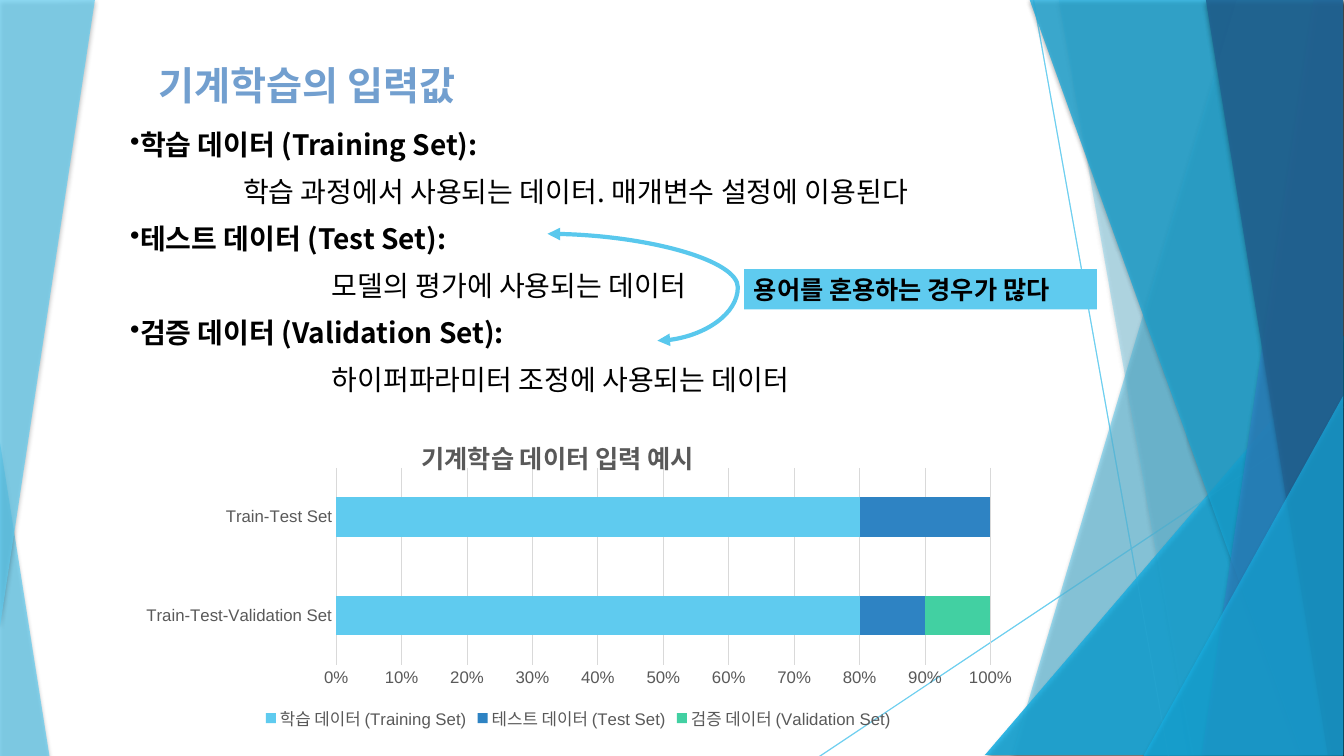
from pptx import Presentation
from pptx.chart.data import CategoryChartData
from pptx.dml.color import RGBColor
from pptx.enum.chart import XL_CHART_TYPE, XL_LEGEND_POSITION, XL_TICK_MARK
from pptx.enum.shapes import MSO_CONNECTOR, MSO_SHAPE
from pptx.enum.text import MSO_ANCHOR, PP_ALIGN
from pptx.oxml import parse_xml
from pptx.oxml.ns import nsdecls, qn
from pptx.oxml.xmlchemy import OxmlElement
from pptx.util import Inches, Pt

COLORS = {"sky": "5FCBEF", "cyan": "17B0E4", "blue": "2E83C3", "navy": "226292",
          "green": "42D0A2", "arrow": "59C8ED", "title": "729FCF",
          "black": "000000", "label": "595959", "grid": "D9D9D9"}
KOREAN = "Noto Sans CJK KR"
TITLE = "기계학습의 입력값"
CALLOUT = "용어를 혼용하는 경우가 많다"
DATA_SETS = [
    ("학습 데이터 (Training Set)", "학습 과정에서 사용되는 데이터. 매개변수 설정에 이용된다",
     1.12, "sky", (80, 80)),
    ("테스트 데이터 (Test Set)", "모델의 평가에 사용되는 데이터", 2, "blue", (10, 20)),
    ("검증 데이터 (Validation Set)", "하이퍼파라미터 조정에 사용되는 데이터", 2, "green", (10, 0)),
]
CHART_TITLE = "기계학습 데이터 입력 예시"
SPLITS = ["Train-Test-Validation Set", "Train-Test Set"]

RAYS = [((10.25, 0), (11.59, 7.51)), ((13.34, 4.03), (8.12, 7.51))]
TOP, BOTTOM, EDGE = -0.01, 7.49, 13.32
RIGHT_FACETS = [
    ("band", (12.27, 10.04), "sky", 36),
    ("band", (10.5, 11.82), "sky", 20),
    ("triangle", (9.77, 3.33, 3.56, 4.16, 1), "cyan", 66),
    ("band", (10.21, 12.91), "cyan", 50),
    ("band", (13.03, 11.92), "blue", 70),
    ("band", (11.96, 13.17), "navy", 80),
    ("triangle", (11.34, 3.93, 1.98, 3.57, 1), "cyan", 66),
]
LEFT_FACETS = [
    ("triangle", (0, 4.39, 0.49, 3.11, 0), "sky", 70),
    ("outline", [(0, 0), (0.94, -0.01), (0.94, 0.01), (0, 6.22)], "sky", 70),
]


def rgb(color):
    return RGBColor.from_string(COLORS[color])


def add_child(parent, tag, **attributes):
    child = OxmlElement(tag)
    for key, value in attributes.items():
        child.set(key, str(value))
    parent.append(child)
    return child


def set_alpha(element, percent):
    for color in element.iter(qn("a:srgbClr")):
        add_child(color, "a:alpha", val=percent * 1000)


def add_facet(slide, kind, geometry, color, opacity):
    if kind == "triangle":
        *box, apex = geometry
        facet = slide.shapes.add_shape(MSO_SHAPE.ISOSCELES_TRIANGLE, *map(Inches, box))
        facet.adjustments[0] = apex
    else:
        if kind == "band":
            upper, lower = geometry
            geometry = [(upper, TOP), (EDGE, TOP), (EDGE, BOTTOM), (lower, BOTTOM)]
        corners = [(Inches(x), Inches(y)) for x, y in geometry]
        builder = slide.shapes.build_freeform(*corners[0])
        builder.add_line_segments(corners[1:], close=True)
        facet = builder.convert_to_shape()
    facet.fill.solid()
    facet.fill.fore_color.rgb = rgb(color)
    facet.line.fill.background()
    facet.shadow.inherit = False
    properties = facet.element.spPr
    set_alpha(properties, opacity)
    shadow = add_child(properties.find(qn("a:effectLst")), "a:outerShdw",
                       blurRad=Pt(3), dist=Pt(2), dir=5400000, rotWithShape=0)
    tint = add_child(shadow, "a:srgbClr", val=COLORS["black"])
    add_child(tint, "a:alpha", val=35000)


def add_line(slide, kind, start, end, color, width):
    line = slide.shapes.add_connector(kind, *map(Inches, start + end))
    line.line.color.rgb = rgb(color)
    line.line.width = Pt(width)
    add_child(line.element.spPr, "a:effectLst")
    return line


def add_backdrop(slide):
    for side_facet in LEFT_FACETS:
        for start, end in RAYS:
            ray = add_line(slide, MSO_CONNECTOR.STRAIGHT, start, end, "sky", 0.75)
            set_alpha(ray.element.spPr, 70)
        for facet in RIGHT_FACETS:
            add_facet(slide, *facet)
        add_facet(slide, *side_facet)


def style(paragraph, size, color, bold):
    for run in paragraph.runs:
        run.font.size, run.font.bold, run.font.name = Pt(size), bold, KOREAN
        run.font.color.rgb = rgb(color)
        add_child(run.font._element, "a:ea", typeface=KOREAN)


def add_frame(slide, box, anchor):
    frame = slide.shapes.add_textbox(*map(Inches, box)).text_frame
    frame.word_wrap = True
    frame.vertical_anchor = anchor
    frame.margin_left = frame.margin_right = frame.margin_top = frame.margin_bottom = 0
    return frame


def add_definitions(slide):
    frame = add_frame(slide, (1.29, 1.3, 8.95, 4.9), MSO_ANCHOR.TOP)
    lines = [line for name, meaning, indent, *_ in DATA_SETS
             for line in ((name + ":", 0, True), (meaning, indent, False))]
    for number, (text, indent, heading) in enumerate(lines):
        paragraph = frame.add_paragraph() if number else frame.paragraphs[0]
        paragraph.text = text
        paragraph.line_spacing = 0.9
        paragraph.space_before = Pt(12)
        style(paragraph, 20, "black", heading)
        layout = paragraph._p.get_or_add_pPr()
        layout.set("marL", str(Inches(indent)))
        layout.set("indent", "0")
        if heading:
            add_child(layout, "a:buChar", char="•")


def add_title(slide):
    frame = add_frame(slide, (1.57, 0.37, 8.1, 1.01), MSO_ANCHOR.MIDDLE)
    frame.text = TITLE
    frame.paragraphs[0].line_spacing = 0.9
    style(frame.paragraphs[0], 28, "title", True)


def place(parent, position, **fractions):
    for layout in parent.findall(qn("c:layout")):
        parent.remove(layout)
    layout = OxmlElement("c:layout")
    manual = add_child(layout, "c:manualLayout")
    if "w" in fractions:
        add_child(manual, "c:layoutTarget", val="inner")
    for axis in "xy":
        add_child(manual, f"c:{axis}Mode", val="edge")
    for key, value in fractions.items():
        add_child(manual, f"c:{key}", val=value)
    parent.insert(position, layout)


def set_label_font(font):
    font.size, font.name = Pt(12), "Arial"
    font.color.rgb = rgb("label")


def add_split_chart(slide):
    data = CategoryChartData()
    data.categories = SPLITS
    for name, _, _, _, shares in DATA_SETS:
        data.add_series(name, shares)
    chart = slide.shapes.add_chart(XL_CHART_TYPE.BAR_STACKED_100,
                                   *map(Inches, (1.29, 3.98, 8.89, 3.31)), data).chart
    chart.font.size, chart.font.name = Pt(10), "Arial"
    plot = chart.plots[0]
    plot.gap_width, plot.overlap, plot.vary_by_categories = 150, 100, False
    for series, (_, _, _, color, _) in zip(plot.series, DATA_SETS):
        series.format.fill.solid()
        series.format.fill.fore_color.rgb = rgb(color)

    for axis in (chart.category_axis, chart.value_axis):
        axis.major_tick_mark = axis.minor_tick_mark = XL_TICK_MARK.NONE
        set_label_font(axis.tick_labels.font)
    shares_axis = chart.value_axis
    shares_axis.tick_labels.number_format = "0%"
    shares_axis.tick_labels.number_format_is_linked = False
    shares_axis.format.line.fill.background()
    for line in (chart.category_axis.format.line, shares_axis.major_gridlines.format.line):
        line.color.rgb = rgb("grid")
        line.width = Pt(0.75)

    chart.has_legend = True
    chart.legend.position = XL_LEGEND_POSITION.BOTTOM
    chart.legend.include_in_layout = False
    set_label_font(chart.legend.font)
    heading = chart.chart_title.text_frame
    heading.text = CHART_TITLE
    style(heading.paragraphs[0], 18, "label", True)

    body = chart.element.find(qn("c:chart"))
    body.addnext(parse_xml(f'<c:spPr {nsdecls("c", "a")}><a:noFill/><a:ln><a:noFill/></a:ln></c:spPr>'))
    place(body.find(qn("c:title")), 1, x=0.32, y=0.09)
    place(body.find(qn("c:plotArea")), 0, x=0.23, y=0.2, w=0.73, h=0.59)


def add_callout(slide):
    arrow = add_line(slide, MSO_CONNECTOR.CURVE, (5.43, 2.32), (6.52, 3.38), "arrow", 3)
    properties = arrow.element.spPr
    for end in ("a:headEnd", "a:tailEnd"):
        add_child(properties.find(qn("a:ln")), end, type="triangle")
    bend = properties.find(qn("a:prstGeom")).find(qn("a:avLst"))
    add_child(bend, "a:gd", name="adj1", fmla="val 173200")

    callout = slide.shapes.add_shape(MSO_SHAPE.RECTANGLE, *map(Inches, (7.38, 2.67, 3.5, 0.4)))
    callout.shadow.inherit = False
    callout.fill.solid()
    callout.fill.fore_color.rgb = rgb("sky")
    callout.line.fill.background()
    frame = callout.text_frame
    frame.text = CALLOUT
    frame.word_wrap = True
    frame.vertical_anchor = MSO_ANCHOR.TOP
    frame.paragraphs[0].alignment = PP_ALIGN.LEFT
    style(frame.paragraphs[0], 18, "black", True)


def main():
    """Build the slide on machine learning inputs."""
    deck = Presentation()
    deck.slide_width, deck.slide_height = Inches(13.33), Inches(7.5)
    slide = deck.slides.add_slide(deck.slide_layouts[6])
    for add_part in (add_backdrop, add_definitions, add_title, add_split_chart, add_callout):
        add_part(slide)
    deck.save("out.pptx")


if __name__ == "__main__":
    main()
